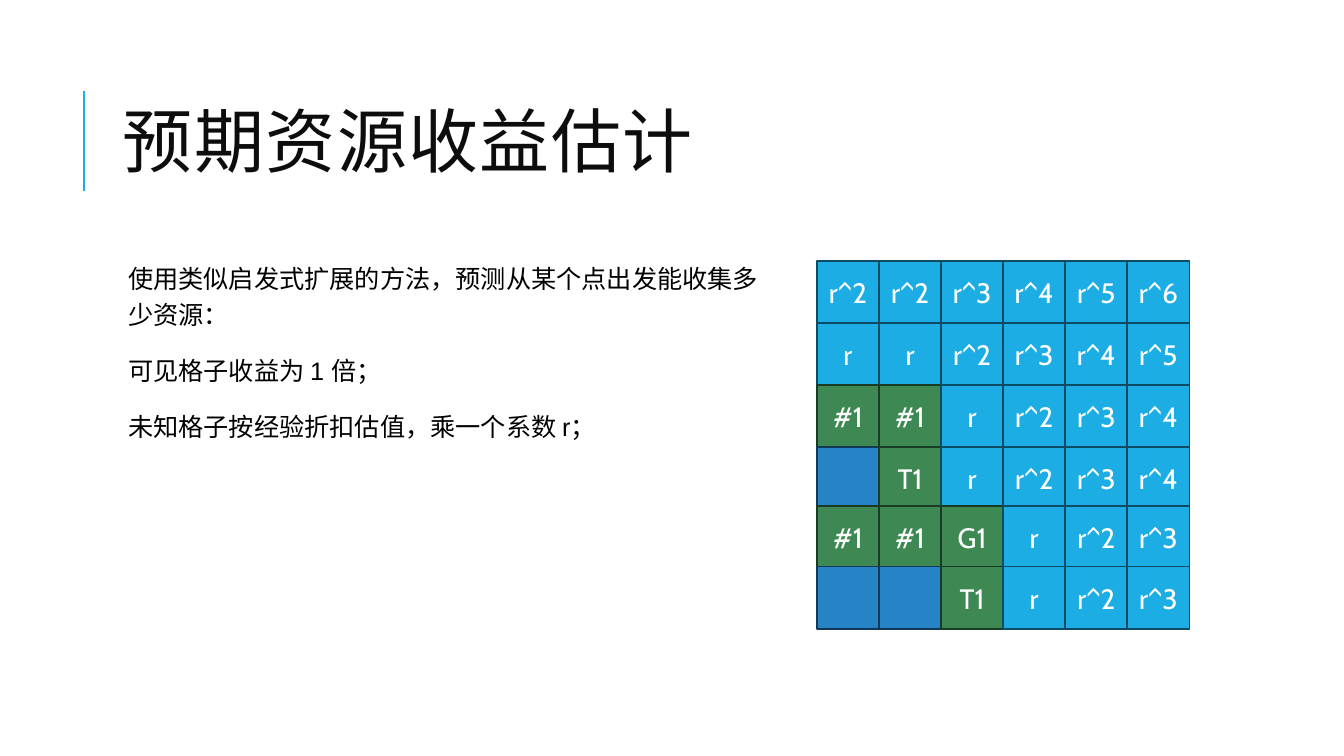
"""Build the slide on estimating the expected resource yield."""
from dataclasses import dataclass

import lxml.etree
import pptx
import pptx.dml.color
import pptx.enum.shapes
import pptx.enum.text
import pptx.oxml.ns
import pptx.presentation
import pptx.slide
import pptx.text.text
import pptx.util

RGBColor = pptx.dml.color.RGBColor
WHITE = RGBColor(0xFF, 0xFF, 0xFF)
BLACK = RGBColor(0x00, 0x00, 0x00)
INK = RGBColor(0x0D, 0x0D, 0x0D)
SKY = RGBColor(0x1C, 0xAD, 0xE4)
SKY_EDGE = RGBColor(0x0C, 0x4C, 0x64)
GREEN = RGBColor(0x3E, 0x88, 0x53)
GREEN_EDGE = RGBColor(0x1B, 0x3C, 0x24)
BLUE = RGBColor(0x26, 0x83, 0xC6)
BLUE_EDGE = RGBColor(0x11, 0x39, 0x57)

SLIDE_WIDTH = pptx.util.Inches(13.33)
SLIDE_HEIGHT = pptx.util.Inches(7.5)
TEXT_LEFT = 8.4
MAP_LEFT, COLUMN_PITCH = 60.77, 4.62
CELL_WIDTH, CELL_HEIGHT = 4.65, 8.25

TITLE = "预期资源收益估计"
METHOD = (
    "使用类似启发式扩展的方法，预测从某个点出发能收集多少资源：",
    "可见格子收益为 1 倍；",
    "未知格子按经验折扣估值，乘一个系数 r；",
)


@dataclass(frozen=True)
class CellStyle:
    """Fill and edge colours of one kind of map cell."""

    fill: RGBColor
    edge: RGBColor


@dataclass(frozen=True)
class MapBlock:
    """Evenly spaced map rows, placed in percent of the slide height."""

    top: float
    pitch: float
    rows: tuple[tuple[str, ...], ...]


ESTIMATED = CellStyle(SKY, SKY_EDGE)
VISIBLE = CellStyle(GREEN, GREEN_EDGE)
EMPTY = CellStyle(BLUE, BLUE_EDGE)

MAP_BLOCKS = (
    MapBlock(34.5, 8.2, (
        ("r^2", "r^2", "r^3", "r^4", "r^5", "r^6"),
        ("r", "r", "r^2", "r^3", "r^4", "r^5"),
        ("#1", "#1", "r", "r^2", "r^3", "r^4"),
        ("", "T1", "r", "r^2", "r^3", "r^4"),
    )),
    MapBlock(66.95, 8.0, (
        ("#1", "#1", "G1", "r", "r^2", "r^3"),
        ("", "", "T1", "r", "r^2", "r^3"),
    )),
)


def across(percent: float) -> pptx.util.Emu:
    """Return a share of the slide width."""
    return pptx.util.Emu(round(SLIDE_WIDTH * percent / 100))


def down(percent: float) -> pptx.util.Emu:
    """Return a share of the slide height."""
    return pptx.util.Emu(round(SLIDE_HEIGHT * percent / 100))


def format_runs(paragraph: pptx.text.text._Paragraph, face: str, size: float, color: RGBColor) -> None:
    """Set the font of every run in a paragraph."""
    for run in paragraph.runs:
        run.font.name = face
        run.font.size = pptx.util.Pt(size)
        run.font.color.rgb = color


def add_title(slide: pptx.slide.Slide) -> None:
    """Fill the title placeholder and draw the accent bar beside it."""
    title = slide.shapes.title
    title.left, title.top = across(TEXT_LEFT), down(8.53)
    title.width, title.height = across(79.74), down(21.87)
    frame = title.text_frame
    frame.text = TITLE
    frame.auto_size = pptx.enum.text.MSO_AUTO_SIZE.NONE
    frame.vertical_anchor = pptx.enum.text.MSO_ANCHOR.MIDDLE
    heading = frame.paragraphs[0]
    heading.alignment = pptx.enum.text.PP_ALIGN.LEFT
    heading.line_spacing = 0.8
    format_runs(heading, "Calibri", 50, INK)
    heading.runs[0].font._element.set("spc", "100")

    accent = slide.shapes.add_connector(
        pptx.enum.shapes.MSO_CONNECTOR.STRAIGHT,
        across(6.24), down(25.33), across(6.24), down(12))
    accent.line.color.rgb = SKY
    accent.line.width = pptx.util.Pt(1.5)
    lxml.etree.SubElement(accent.element.spPr, pptx.oxml.ns.qn("a:effectLst"))


def add_method(slide: pptx.slide.Slide) -> None:
    """Write the explanation of the estimate."""
    method = slide.shapes.add_textbox(across(TEXT_LEFT), down(33.33), across(49.06), down(37.6))
    frame = method.text_frame
    frame.word_wrap = True
    inset = pptx.util.Inches(0.05)
    frame.margin_left = frame.margin_right = frame.margin_top = frame.margin_bottom = inset
    for index, sentence in enumerate(METHOD):
        paragraph = frame.add_paragraph() if index else frame.paragraphs[0]
        paragraph.text = sentence
        paragraph._p.get_or_add_pPr().set("marL", str(pptx.util.Inches(0.1)))
        paragraph.line_spacing = 1.2
        paragraph.space_before = pptx.util.Pt(12 if index else 0)
        paragraph.space_after = pptx.util.Pt(2)
        format_runs(paragraph, "Arial", 18, BLACK)


def style_for(label: str) -> CellStyle:
    """Choose the cell style that belongs to a label."""
    if not label:
        return EMPTY
    return ESTIMATED if label.startswith("r") else VISIBLE


def add_cell(slide: pptx.slide.Slide, label: str, left: float, top: float) -> None:
    """Draw one map cell at a position in percent of the slide."""
    cell = slide.shapes.add_shape(
        pptx.enum.shapes.MSO_SHAPE.RECTANGLE,
        across(left), down(top), across(CELL_WIDTH), down(CELL_HEIGHT))
    style = style_for(label)
    cell.shadow.inherit = False
    cell.fill.solid()
    cell.fill.fore_color.rgb = style.fill
    cell.line.color.rgb = style.edge
    cell.line.width = pptx.util.Pt(1.25)
    if label:
        cell.text_frame.text = label
        cell.text_frame.vertical_anchor = pptx.enum.text.MSO_ANCHOR.MIDDLE
        paragraph = cell.text_frame.paragraphs[0]
        paragraph.alignment = pptx.enum.text.PP_ALIGN.CENTER
        format_runs(paragraph, "Cabin", 20, WHITE)


def add_map(slide: pptx.slide.Slide) -> None:
    """Draw the map of visible and estimated cells."""
    for block in MAP_BLOCKS:
        for row, labels in enumerate(block.rows):
            for column, label in enumerate(labels):
                add_cell(slide, label, MAP_LEFT + column * COLUMN_PITCH, block.top + row * block.pitch)


def main() -> None:
    """Create and save the presentation."""
    deck: pptx.presentation.Presentation = pptx.Presentation()
    deck.slide_width, deck.slide_height = SLIDE_WIDTH, SLIDE_HEIGHT
    slide = deck.slides.add_slide(deck.slide_layouts.get_by_name("Title Only"))
    add_title(slide)
    add_method(slide)
    add_map(slide)
    deck.save("out.pptx")


if __name__ == "__main__":
    main()
